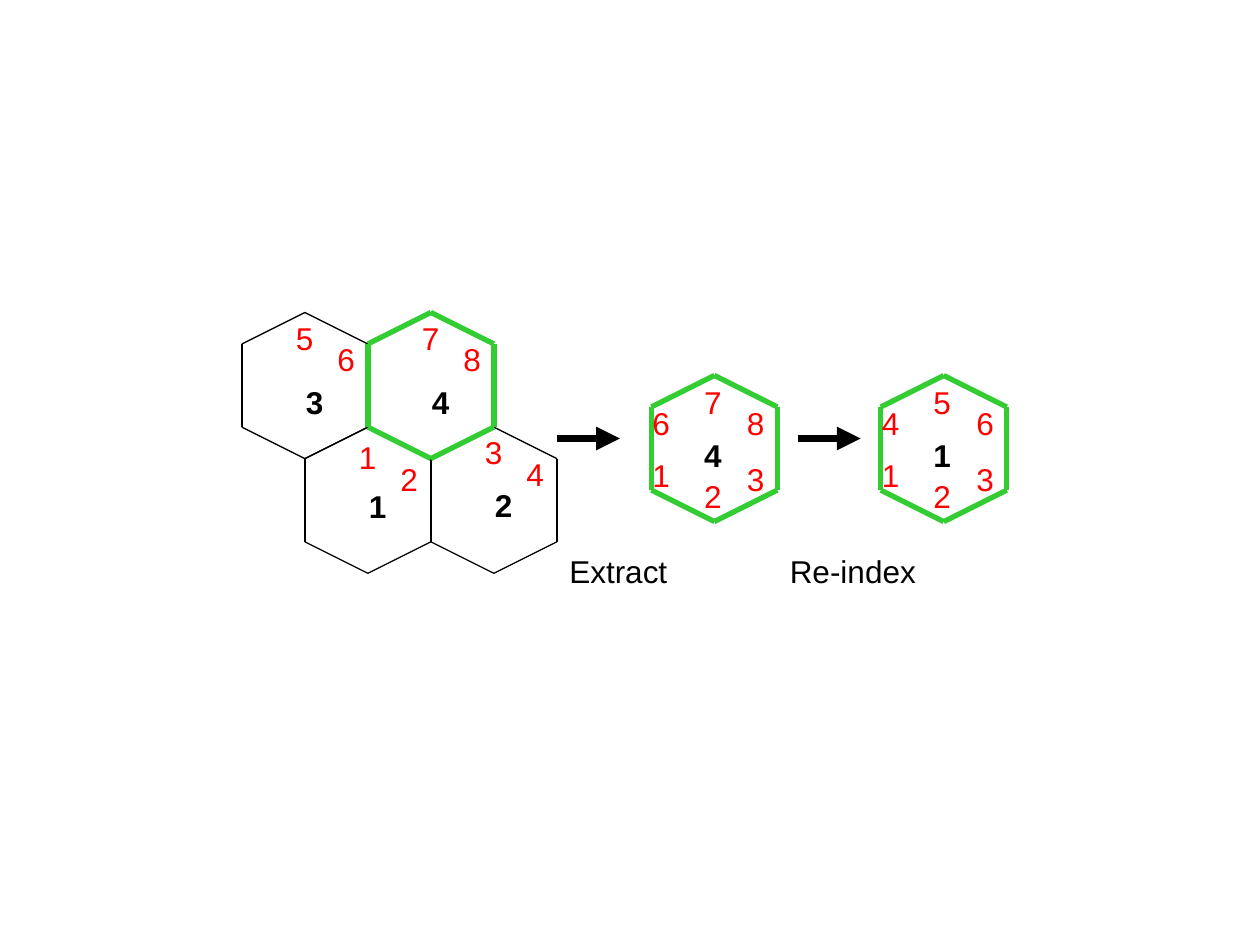
from lxml import etree
from pptx import Presentation
from pptx.dml.color import RGBColor
from pptx.enum import shapes, text
from pptx.oxml import ns
from pptx.util import Inches, Pt

COLORS = {"ink": "000000", "vertex": "FF0000", "selected": "33CC33"}

prs = Presentation()
prs.slide_width, prs.slide_height = Inches(10), Inches(7.5)
slide = prs.slides.add_slide(prs.slide_layouts[6])


def add_line(start, end, color, weight, arrow=False):
    line = slide.shapes.add_connector(
        shapes.MSO_CONNECTOR.STRAIGHT, *map(Inches, (*start, *end)))
    line.line.color.rgb = RGBColor.from_string(COLORS[color])
    line.line.width = Pt(weight)
    if arrow:
        etree.SubElement(line.line._get_or_add_ln(), ns.qn("a:tailEnd"), type="triangle")
    etree.SubElement(line._element.spPr, ns.qn("a:effectLst"))


def add_label(wording, left, top, color="ink", bold=False, width=0.34):
    box = slide.shapes.add_textbox(*map(Inches, (left, top, width, 0.4)))
    box.text_frame.word_wrap = False
    box.text_frame.auto_size = text.MSO_AUTO_SIZE.SHAPE_TO_FIT_TEXT
    label = box.text_frame.paragraphs[0]
    label.text = wording
    label.font.name, label.font.size, label.font.bold = "Arial", Pt(18), bold
    label.font.color.rgb = RGBColor.from_string(COLORS[color])


# Hexagon corners, clockwise from the top corner
CORNERS = [(0, 0), (0.5, 0.25), (0.5, 0.91), (0, 1.16), (-0.5, 0.91), (-0.5, 0.25)]
LEFT_SIDE = 4

# Hexagon outlines: top corner, colour, weight, sides shared with a neighbour
hexagons = [
    (2.42, 2.48, "ink", 0.75, []),
    (2.92, 3.39, "ink", 0.75, []),
    (3.92, 3.39, "ink", 0.75, [LEFT_SIDE]),
    (3.42, 2.48, "selected", 3, []),
    (5.67, 2.98, "selected", 3, []),
    (7.49, 2.98, "selected", 3, []),
]
for x, y, color, weight, shared in hexagons:
    points = [(x + dx, y + dy) for dx, dy in CORNERS]
    for side in range(6):
        if side not in shared:
            add_line(points[side], points[(side + 1) % 6], color, weight)

# Mesh numbers: cell, top corner, two vertices, vertex drop, cell drop
mesh = [
    ("1", 2.92, 3.39, "12", 0.04, 0.43),
    ("2", 3.92, 3.39, "34", 0, 0.42),
    ("3", 2.42, 2.48, "56", 0, 0.51),
    ("4", 3.42, 2.48, "78", 0, 0.51),
]
for cell, x, y, (top_vertex, right_vertex), vertex_drop, cell_drop in mesh:
    add_label(top_vertex, x - 0.17, y + vertex_drop, "vertex")
    add_label(right_vertex, x + 0.16, y + vertex_drop + 0.17, "vertex")
    add_label(cell, x - 0.09, y + cell_drop, bold=True)

# Extracted and re-indexed cells, vertices counterclockwise from lower left
VERTEX_OFFSETS = [(-0.59, 0.59), (-0.18, 0.76), (0.16, 0.62),
                  (0.16, 0.18), (-0.18, 0.01), (-0.59, 0.18)]
for cell, x, vertices in [("4", 5.67, "123876"), ("1", 7.49, "123654")]:
    for vertex, (dx, dy) in zip(vertices, VERTEX_OFFSETS):
        add_label(vertex, x + dx, 2.98 + dy, "vertex")
    add_label(cell, x - 0.18, 3.41, bold=True)

# Steps: arrow and caption
steps = [("Extract", 4.42, 4.42, 0.98), ("Re-index", 6.33, 6.17, 1.2)]
for step, arrow_left, caption_left, width in steps:
    add_line((arrow_left, 3.48), (arrow_left + 0.5, 3.48), "ink", 4.5, arrow=True)
    add_label(step, caption_left, 4.33, width=width)

prs.save("out.pptx")
